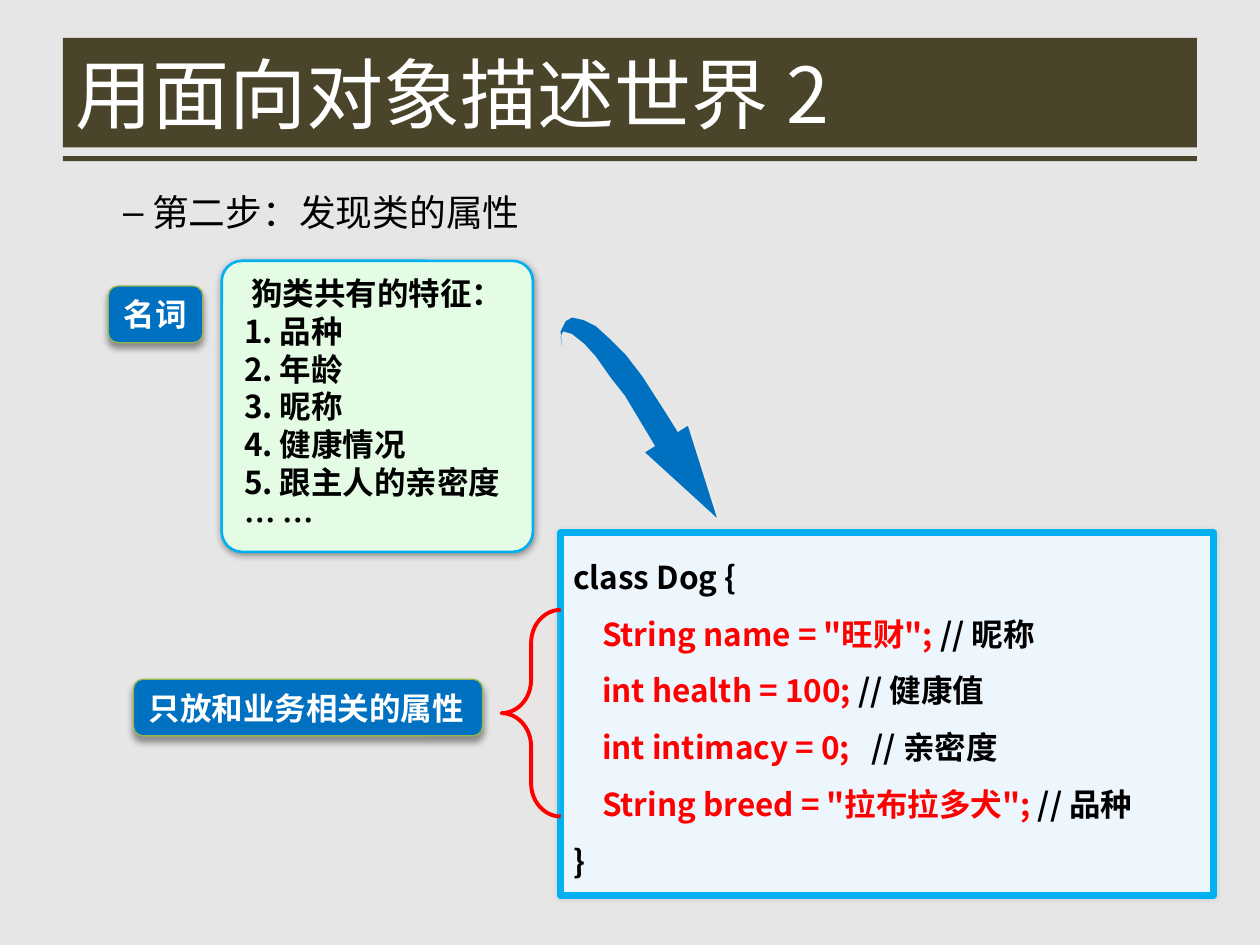
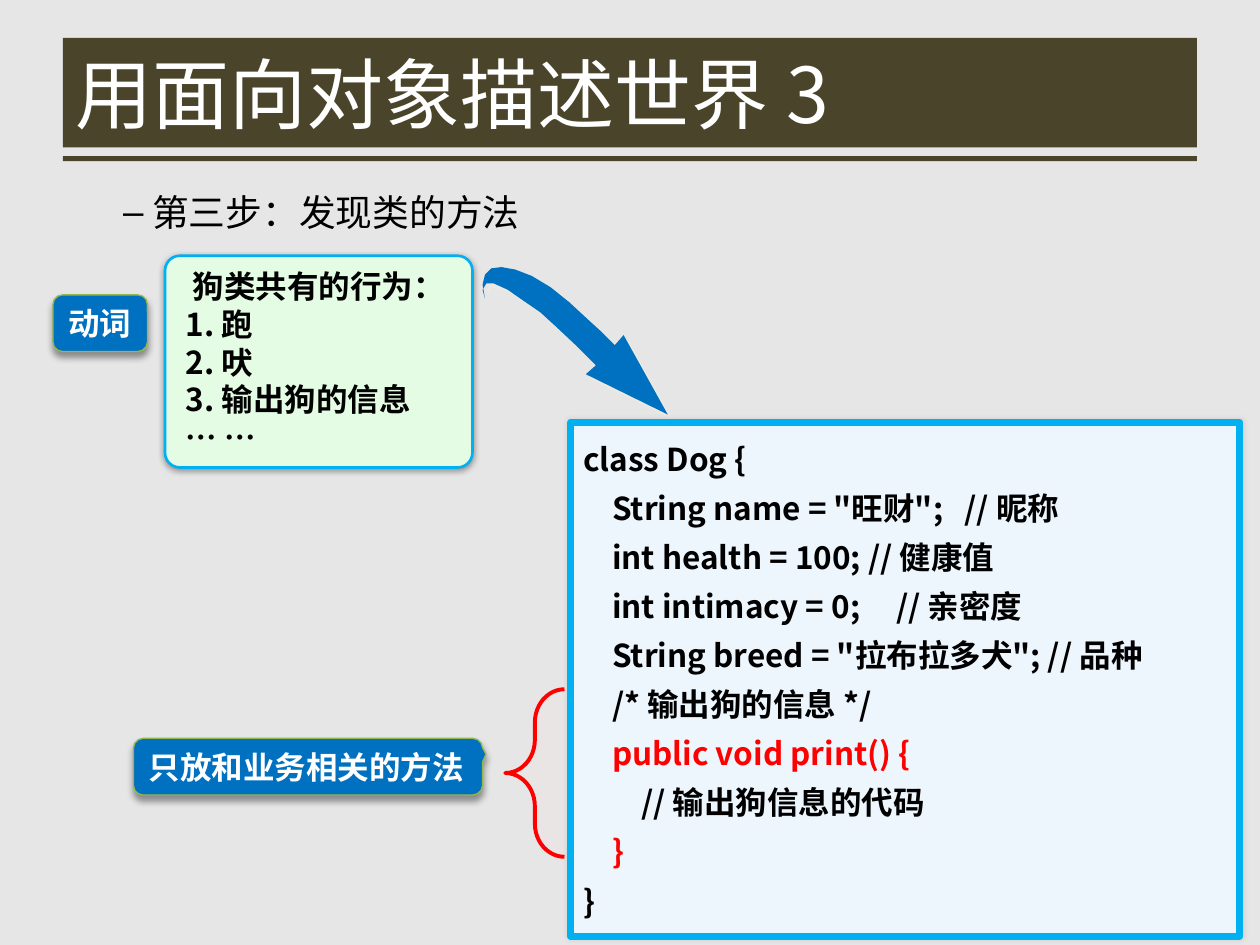
from lxml.etree import SubElement
from pptx import Presentation
from pptx.dml.color import RGBColor as RGB
from pptx.enum.shapes import MSO_SHAPE as Kind
from pptx.enum.text import MSO_ANCHOR as Anchor, PP_ALIGN as Align
from pptx.oxml.ns import qn
from pptx.util import Inches, Pt

HUES = {"page": "E7E6E6", "band": "4A452A", "white": "FFFFFF", "ink": "000000",
        "red": "FF0000", "mint": "E4FCE4", "sky": "00B0F0", "pale": "EDF5FD",
        "blue": "0070C0", "olive": "95B74F", "pink": "FFDDDD", "sand": "EEECE1"}
FACE = "Noto Sans CJK SC"
WIDE, HIGH = 10, 7.5
EDGE = WIDE / 20
TITLE = (EDGE, 0.3, WIDE - 2 * EDGE, 0.87)
RULE = (EDGE, 1.24, WIDE - 2 * EDGE, 0.04)
STEP = (EDGE, 1.46, WIDE - 2 * EDGE, 0.52)
TAB = 0.23

LOOKS = {
    "list": {"kind": Kind.ROUNDED_RECTANGLE, "fill": "mint", "line": ("sky", 1.5),
             "shade": ("ink", 40, 4, 1, 90), "anchor": Anchor.MIDDLE, "inset": 0.13},
    "code": {"kind": Kind.ROUNDED_RECTANGLE, "fill": "pale", "line": ("sky", 4),
             "shade": ("ink", 10, 3, 0, 0), "anchor": Anchor.TOP},
    "tag": {"kind": Kind.ROUNDED_RECTANGULAR_CALLOUT, "fill": "blue",
            "line": ("olive", 0.75), "shade": ("ink", 40, 4, 3, 90),
            "anchor": Anchor.MIDDLE, "wrap": False, "hue": "white", "face": "Arial"},
    "brace": {"kind": Kind.RIGHT_BRACE, "fill": "pink", "alpha": 10,
              "line": ("red", 2.25), "turn": 180},
    "arrow": {"fill": "blue", "shade": ("sand", 50, 0, 4.2, 45)},
}

SLIDES = [
    {"title": "用面向对象描述世界 2", "step": "第二步：发现类的属性", "parts": [
        {"look": "list", "box": (1.76, 2.07, 2.47, 2.31), "adj": [0.07],
         "rows": [" 狗类共有的特征：", "1. 品种", "2. 年龄", "3. 昵称", "4. 健康情况",
                  "5. 跟主人的亲密度", "… …"]},
        {"look": "code", "box": (4.45, 4.23, 5.18, 2.88), "adj": [0], "gap": 1.5,
         "rows": ["class Dog {",
                  (1, 'String name = "旺财";', " // 昵称"),
                  (1, "int health = 100;", " // 健康值"),
                  (1, "int intimacy = 0;", "   // 亲密度"),
                  (1, 'String breed = "拉布拉多犬";', " // 品种"),
                  "}"]},
        {"look": "arrow", "dots": [
            (5.69, 4.11), (5.46, 3.38), (5.38, 3.43), (5.28, 3.27), (5.19, 3.13),
            (5.1, 2.99), (4.97, 2.82), (4.84, 2.69), (4.73, 2.59), (4.63, 2.54),
            (4.54, 2.52), (4.49, 2.55), (4.45, 2.63), (4.46, 2.75), (4.45, 2.67),
            (4.47, 2.63), (4.54, 2.65), (4.64, 2.73), (4.73, 2.83), (4.85, 3),
            (4.96, 3.14), (5.08, 3.34), (5.2, 3.54), (5.12, 3.59)]},
        {"look": "tag", "box": (1.06, 5.39, 2.77, 0.45), "adj": [0.5, -0.11, 0.17],
         "rows": ["只放和业务相关的属性"]},
        {"look": "tag", "box": (0.86, 2.27, 0.75, 0.45), "adj": [0.5, 0.32, 0.17],
         "rows": ["名词"]},
        {"look": "brace", "box": (3.98, 4.84, 0.47, 1.64), "adj": [0.56, 0.5]},
    ]},
    {"title": "用面向对象描述世界 3", "step": "第三步：发现类的方法", "parts": [
        {"look": "list", "box": (1.31, 2.03, 2.44, 1.68), "adj": [0.07],
         "rows": [" 狗类共有的行为：", "1. 跑", "2. 吠", "3. 输出狗的信息", "… …"]},
        {"look": "tag", "box": (0.42, 2.34, 0.75, 0.45), "adj": [0.5, 0.04, 0.17],
         "rows": ["动词"]},
        {"look": "arrow", "dots": [
            (5.3, 3.29), (4.95, 2.66), (4.88, 2.74), (4.77, 2.63), (4.66, 2.53),
            (4.52, 2.4), (4.37, 2.28), (4.22, 2.19), (4.09, 2.14), (3.98, 2.12),
            (3.9, 2.13), (3.85, 2.18), (3.83, 2.26), (3.85, 2.37), (3.83, 2.3),
            (3.86, 2.25), (3.92, 2.25), (4.03, 2.3), (4.13, 2.37), (4.29, 2.48),
            (4.41, 2.59), (4.57, 2.74), (4.73, 2.9), (4.65, 2.97)]},
        {"look": "tag", "box": (1.06, 5.86, 2.77, 0.45), "adj": [0.51, -0.22, 0.17],
         "rows": ["只放和业务相关的方法"]},
        {"look": "brace", "box": (4.01, 5.47, 0.47, 1.33), "adj": [0.56, 0.5]},
        {"look": "code", "box": (4.53, 3.35, 5.31, 4.08), "adj": [0], "gap": 1.3,
         "rows": ["class Dog {",
                  (1, "", 'String name = "旺财";   // 昵称'),
                  (1, "", "int health = 100; // 健康值"),
                  (1, "", "int intimacy = 0;     // 亲密度"),
                  (1, "", 'String breed = "拉布拉多犬"; // 品种'),
                  (1, "", "/* 输出狗的信息 */"),
                  (1, "public void print() {", ""),
                  (2, "", "// 输出狗信息的代码"),
                  (1, "}", ""),
                  "}"]},
    ]},
]


def tint(name):
    return RGB.from_string(HUES[name])


def put(item, vals):
    for key, val in vals.items():
        setattr(item, key, val)


def place(item, box):
    put(item, dict(zip(("left", "top", "width", "height"), map(Inches, box))))


def paint(item, hue):
    item.fill.solid()
    item.fill.fore_color.rgb = tint(hue)


def write(para, text, size, hue, bold=False, face=FACE):
    run = para.add_run()
    run.text = text
    put(run.font, {"size": Pt(size), "bold": bold, "name": face})
    run.font.color.rgb = tint(hue)
    SubElement(run.font._element, qn("a:ea"), typeface=FACE)


def shade(shape, hue, alpha, blur, dist, turn):
    fx = shape._element.spPr.find(qn("a:effectLst"))
    drop = SubElement(fx, qn("a:outerShdw"), blurRad=str(Pt(blur)), dist=str(Pt(dist)),
                      dir=str(turn * 60000), algn="ctr", rotWithShape="0")
    tone = SubElement(drop, qn("a:srgbClr"), val=HUES[hue])
    SubElement(tone, qn("a:alpha"), val=str(alpha * 1000))


def fill_text(shape, part, look):
    frame = shape.text_frame
    put(frame, {"word_wrap": look.get("wrap", True), "vertical_anchor": look["anchor"],
                "margin_left": Inches(look.get("inset", 0.1))})
    for num, row in enumerate(part["rows"]):
        level, key, rest = (0, "", row) if isinstance(row, str) else row
        para = frame.add_paragraph() if num else frame.paragraphs[0]
        put(para, {"alignment": Align.LEFT, "line_spacing": part.get("gap", 1.0)})
        para._p.get_or_add_pPr().set("marL", str(Inches(level * TAB)))
        for text, hue in ((key, "red"), (rest, look.get("hue", "ink"))):
            if text:
                write(para, text, 18, hue, True, look.get("face", FACE))


def draw(slide, part):
    look = LOOKS[part["look"]]
    if "dots" in part:
        start, *rest = [(Inches(x), Inches(y)) for x, y in part["dots"]]
        path = slide.shapes.build_freeform(*start)
        path.add_line_segments(rest)
        shape = path.convert_to_shape()
    else:
        shape = slide.shapes.add_shape(look["kind"], *map(Inches, part["box"]))
        for num, val in enumerate(part["adj"]):
            shape.adjustments[num] = val
    put(shape, {"rotation": look.get("turn", 0)})
    shape.shadow.inherit = False
    paint(shape, look["fill"])
    if "alpha" in look:
        tone = shape._element.spPr.find(qn("a:solidFill"))[0]
        SubElement(tone, qn("a:alpha"), val=str(look["alpha"] * 1000))
    if "line" in look:
        hue, size = look["line"]
        shape.line.color.rgb = tint(hue)
        shape.line.width = Pt(size)
    else:
        shape.line.fill.background()
    if "shade" in look:
        shade(shape, *look["shade"])
    if "rows" in part:
        fill_text(shape, part, look)


def set_bands(slide, layout):
    paint(layout.background, "page")
    for spot, box in enumerate((TITLE, RULE), 2):
        band = slide.shapes.add_shape(Kind.RECTANGLE, *map(Inches, box))
        band.shadow.inherit = False
        paint(band, "band")
        band.line.fill.background()
        layout.shapes._spTree.insert(spot, band._element)


def set_heads(slide, title, step):
    head = slide.shapes.title
    place(head, TITLE)
    put(head.text_frame, {"vertical_anchor": Anchor.MIDDLE, "word_wrap": True})
    para = head.text_frame.paragraphs[0]
    para.alignment = Align.LEFT
    write(para, title, 44, "white")
    note = slide.shapes.add_textbox(*map(Inches, STEP)).text_frame
    note.word_wrap = True
    para = note.paragraphs[0]
    props = para._p.get_or_add_pPr()
    props.set("marL", str(Inches(0.61)))
    props.set("indent", str(Inches(-TAB)))
    SubElement(props, qn("a:buFont"), typeface="Arial")
    SubElement(props, qn("a:buChar"), char="–")
    write(para, step, 21, "ink")


def main():
    """Build the two class-design slides and save them."""
    deck = Presentation()
    put(deck, {"slide_width": Inches(WIDE), "slide_height": Inches(HIGH)})
    layout = deck.slide_layouts[5]
    for num, data in enumerate(SLIDES):
        slide = deck.slides.add_slide(layout)
        if not num:
            set_bands(slide, layout)
        set_heads(slide, data["title"], data["step"])
        for part in data["parts"]:
            draw(slide, part)
    deck.save("out.pptx")


if __name__ == "__main__":
    main()
